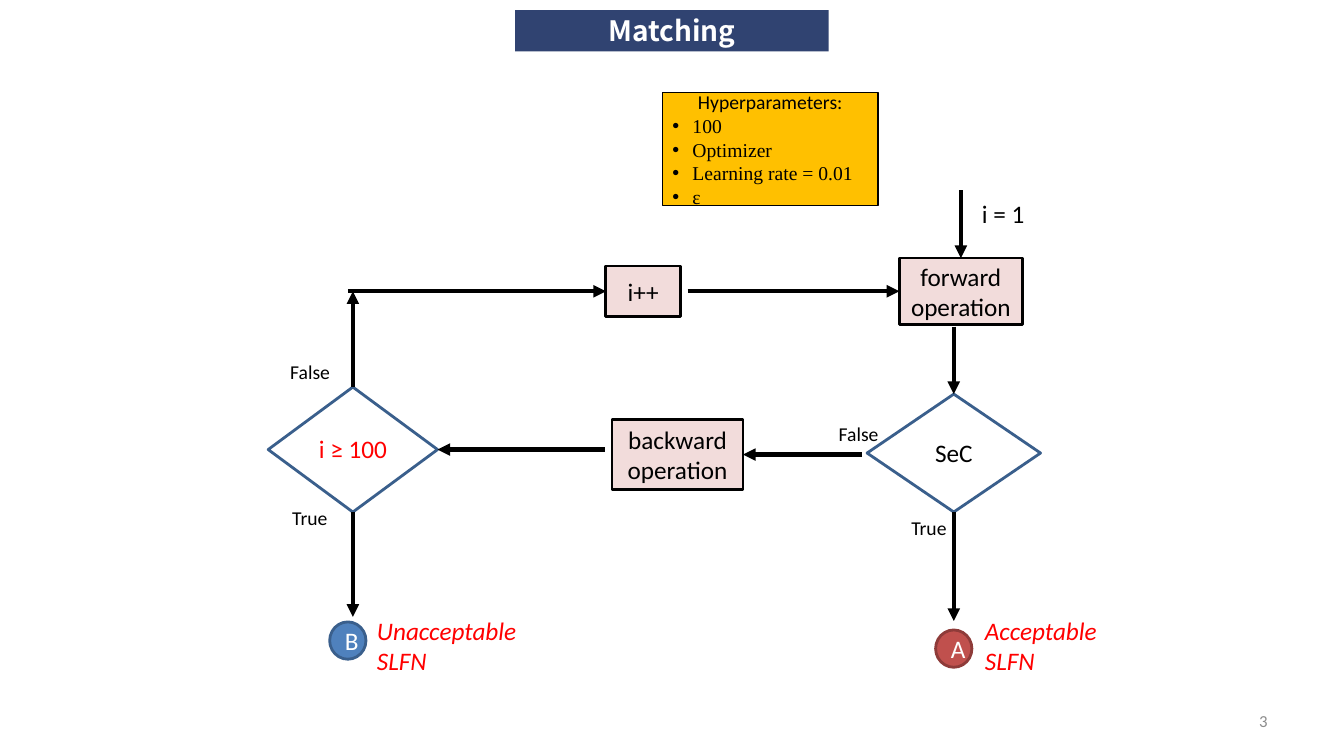
import pptx
import pptx.util
import pptx.dml.color
import pptx.enum.shapes
import pptx.enum.text
import pptx.oxml.xmlchemy
from pptx.util import Inches

RGBColor = pptx.dml.color.RGBColor
Kind = pptx.enum.shapes.MSO_SHAPE
Align = pptx.enum.text.PP_ALIGN
Anchor = pptx.enum.text.MSO_ANCHOR

BLACK = RGBColor(0x00, 0x00, 0x00)
WHITE = RGBColor(0xFF, 0xFF, 0xFF)
RED = RGBColor(0xFF, 0x00, 0x00)
GRAY = RGBColor(0x8C, 0x8C, 0x8C)
NAVY = RGBColor(0x30, 0x43, 0x71)
BLUE = RGBColor(0x4F, 0x81, 0xBD)
DARK_BLUE = RGBColor(0x3A, 0x5F, 0x8C)
BRICK = RGBColor(0xC0, 0x50, 0x4D)
DARK_BRICK = RGBColor(0x8E, 0x3B, 0x39)
PINK = RGBColor(0xF2, 0xDC, 0xDB)
AMBER = RGBColor(0xFF, 0xC0, 0x00)

TOP, LEFT, BOTTOM, RIGHT = range(4)


class Flowchart:
    font = "Calibri"
    serif = "Times New Roman"
    title_font = "Noto Sans CJK TC"

    def __init__(self, page):
        self.page = page

    def fill_text(self, frame, text, size, color, align, font=None, bold=False, italic=False):
        frame.text = text
        for para in frame.paragraphs:
            para.alignment = align
            for span in para.runs:
                span.font.name = font or self.font
                span.font.size = pptx.util.Pt(size)
                span.font.color.rgb = color
                span.font.bold = bold
                span.font.italic = italic

    def title(self, text, left, top, width, height):
        box = self.page.shapes.title
        box.left, box.top, box.width, box.height = map(Inches, (left, top, width, height))
        box.fill.solid()
        box.fill.fore_color.rgb = NAVY
        frame = box.text_frame
        frame.auto_size = pptx.enum.text.MSO_AUTO_SIZE.NONE
        frame.vertical_anchor = Anchor.MIDDLE
        frame.margin_left = frame.margin_right = Inches(0.07)
        frame.margin_top = frame.margin_bottom = Inches(0.04)
        self.fill_text(frame, text, 20, WHITE, Align.CENTER, self.title_font, bold=True)

    def label(self, text, left, top, width, height, size=14, color=BLACK,
              italic=False, align=Align.LEFT):
        box = self.page.shapes.add_textbox(*map(Inches, (left, top, width, height)))
        box.text_frame.word_wrap = True
        self.fill_text(box.text_frame, text, size, color, align, italic=italic)
        return box

    def node(self, kind, text, left, top, width, height, fill, line,
             color=BLACK, size=18, weight=2):
        shape = self.page.shapes.add_shape(kind, *map(Inches, (left, top, width, height)))
        shape.shadow.inherit = False
        shape.fill.solid()
        shape.fill.fore_color.rgb = fill
        shape.line.color.rgb = line
        shape.line.width = pptx.util.Pt(weight)
        shape.text_frame.vertical_anchor = Anchor.MIDDLE
        self.fill_text(shape.text_frame, text, size, color, Align.CENTER)
        return shape

    def step(self, text, left, top, width, height, fill=PINK, **style):
        shape = self.node(Kind.ROUNDED_RECTANGLE, text, left, top, width, height,
                          fill, BLACK, **style)
        shape.adjustments[0] = 0
        return shape

    def decision(self, text, left, top, width, height, color=BLACK):
        shape = self.node(Kind.DIAMOND, text, left, top, width, height,
                          WHITE, DARK_BLUE, color)
        frame = shape.text_frame
        frame.word_wrap = False
        frame.margin_left = frame.margin_right = frame.margin_top = Inches(0.03)
        frame.margin_bottom = Inches(0.05)
        return shape

    def settings(self, heading, items, left, top, width, height):
        """Draw a box with a centred heading above a bulleted list."""
        box = self.step("\n".join([heading] + items), left, top, width, height,
                        AMBER, size=14, weight=1)
        for para in box.text_frame.paragraphs[1:]:
            para.alignment = Align.LEFT
            properties = para._p.get_or_add_pPr()
            properties.set("marL", str(Inches(0.2)))
            properties.set("indent", str(-Inches(0.2)))
            for tag, name, value in (("a:buFont", "typeface", "Arial"),
                                     ("a:buChar", "char", "•")):
                bullet = pptx.oxml.xmlchemy.OxmlElement(tag)
                bullet.set(name, value)
                properties.append(bullet)
            for span in para.runs:
                span.font.name = self.serif

    def arrow(self, start, end, joined_start=None, joined_end=None):
        """Draw an arrow; a joined end is given as (shape, side)."""
        line = self.page.shapes.add_connector(
            pptx.enum.shapes.MSO_CONNECTOR.STRAIGHT, *map(Inches, start + end))
        if joined_start:
            line.begin_connect(*joined_start)
        if joined_end:
            line.end_connect(*joined_end)
        line.line.color.rgb = BLACK
        line.line.width = pptx.util.Pt(3)
        head = pptx.oxml.xmlchemy.OxmlElement("a:tailEnd")
        head.set("type", "triangle")
        line.line._get_or_add_ln().append(head)
        line._element.spPr.append(pptx.oxml.xmlchemy.OxmlElement("a:effectLst"))


def main():
    deck = pptx.Presentation()
    deck.slide_width, deck.slide_height = Inches(13.33), Inches(7.5)
    chart = Flowchart(deck.slides.add_slide(deck.slide_layouts[5]))

    chart.title("Matching", 5.11, 0.1, 3.11, 0.41)
    chart.settings("Hyperparameters:", ["100", "Optimizer", "Learning rate = 0.01", "ε"],
                   6.57, 0.92, 2.14, 1.12)

    forward = chart.step("forward\noperation", 8.92, 2.56, 1.22, 0.66)
    backward = chart.step("backward operation", 6.07, 4.16, 1.3, 0.7)
    increment = chart.step("i++", 6.01, 2.64, 0.74, 0.5)
    sec = chart.decision("SeC", 8.6, 3.91, 1.72, 1.17)
    limit = chart.decision("i ≥ 100", 2.66, 3.84, 1.68, 1.24, RED)
    chart.node(Kind.OVAL, "A", 9.28, 6.25, 0.36, 0.37, BRICK, DARK_BRICK, WHITE)
    chart.node(Kind.OVAL, "B", 3.27, 6.17, 0.36, 0.37, BLUE, DARK_BLUE, WHITE)

    chart.arrow((9.53, 1.89), (9.53, 2.56), joined_end=(forward, TOP))
    chart.arrow((9.46, 3.24), (9.46, 3.91), joined_end=(sec, TOP))
    chart.arrow((9.46, 5.08), (9.46, 6.16), joined_start=(sec, BOTTOM))
    chart.arrow((8.55, 4.51), (7.37, 4.51), joined_end=(backward, RIGHT))
    chart.arrow((6, 4.46), (4.34, 4.46), joined_end=(limit, RIGHT))
    chart.arrow((3.5, 5.08), (3.5, 6.12), joined_start=(limit, BOTTOM))
    chart.arrow((3.5, 3.84), (3.5, 2.89), joined_start=(limit, TOP))
    chart.arrow((3.45, 2.89), (6.01, 2.89), joined_end=(increment, LEFT))
    chart.arrow((6.82, 2.89), (8.92, 2.89), joined_end=(forward, LEFT))

    chart.label("i = 1", 9.64, 1.92, 0.66, 0.4, size=18)
    chart.label("False", 8.22, 4.14, 0.66, 0.34)
    chart.label("True", 8.94, 5.07, 0.7, 0.34)
    chart.label("False", 2.78, 3.52, 0.67, 0.34)
    chart.label("True", 2.8, 4.97, 0.7, 0.34)
    chart.label("Acceptable SLFN", 9.67, 6.05, 1.55, 0.71, 18, RED, italic=True)
    chart.label("Unacceptable SLFN", 3.64, 6.05, 1.79, 0.71, 18, RED, italic=True)
    number = chart.label("3", 9.56, 6.95, 3.11, 0.4, 12, GRAY, align=Align.RIGHT)
    number.text_frame.vertical_anchor = Anchor.MIDDLE

    deck.save("out.pptx")


if __name__ == "__main__":
    main()
